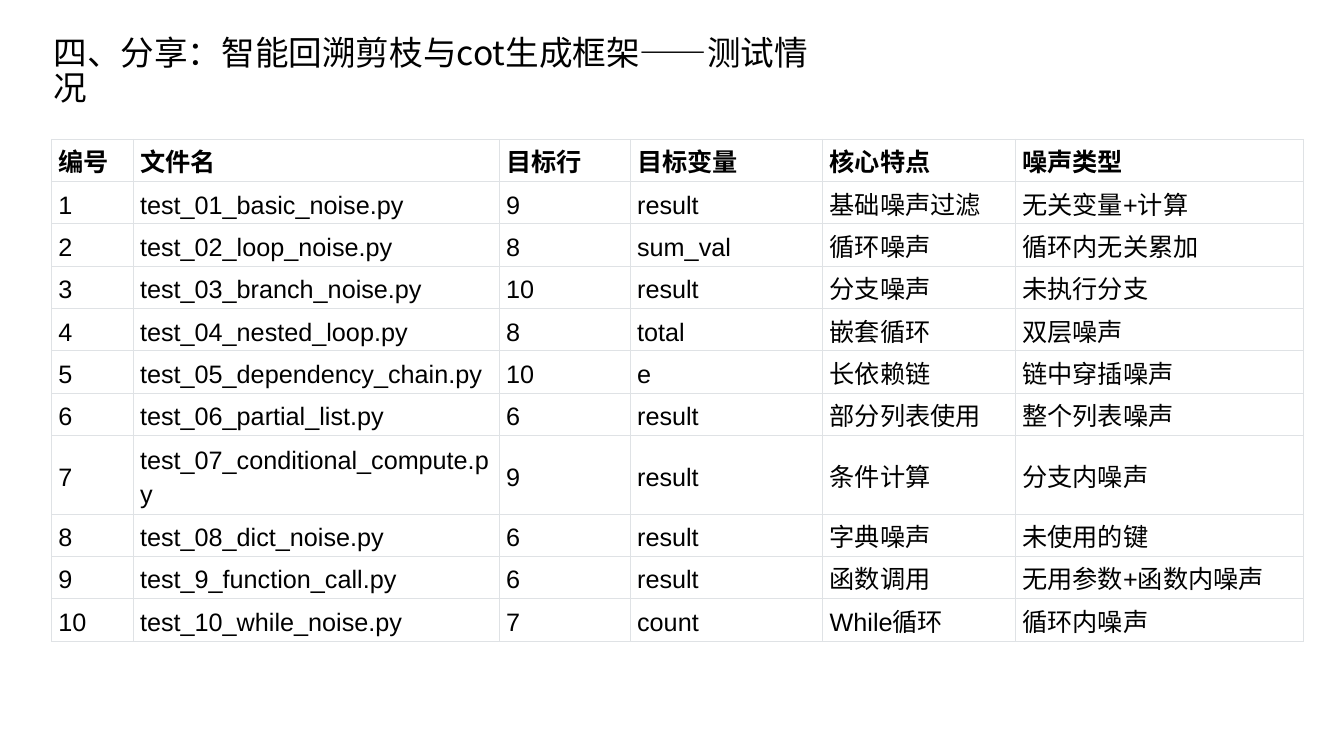
from pptx import Presentation
from pptx.dml.color import RGBColor
from pptx.enum.text import MSO_ANCHOR, MSO_AUTO_SIZE, PP_ALIGN
from pptx.oxml import parse_xml
from pptx.oxml.ns import nsdecls
from pptx.util import Inches, Pt

COLORS = {"text": "000000", "border": "DFE2E5"}


def set_text(tf, text, font, size, spacing, bold=False):
    tf.text = text
    p = tf.paragraphs[0]
    p.alignment = PP_ALIGN.LEFT
    p.line_spacing = spacing
    r = p.runs[0]
    r.font.name, r.font.size, r.font.bold = font, Pt(size), bold
    r.font.color.rgb = RGBColor.from_string(COLORS["text"])
    # East Asian typeface
    r.font._element.append(parse_xml(f'<a:ea {nsdecls("a")} typeface="{font}"/>'))


def add_borders(cell):
    tc_pr = cell._tc.get_or_add_tcPr()
    for i, side in enumerate(("lnL", "lnR", "lnT", "lnB")):
        tc_pr.insert(i, parse_xml(
            f'<a:{side} {nsdecls("a")} w="{Pt(0.4)}"><a:solidFill>'
            f'<a:srgbClr val="{COLORS["border"]}"/></a:solidFill></a:{side}>'))


prs = Presentation()
prs.slide_width, prs.slide_height = Inches(13.33), Inches(7.5)
s = prs.slides.add_slide(prs.slide_layouts[5])

# Title
title = s.shapes.title
title.left, title.top = Inches(0.43), Inches(0.33)
title.width, title.height = Inches(7.98), Inches(0.5)
tf = title.text_frame
tf.word_wrap = True
tf.auto_size = MSO_AUTO_SIZE.NONE
tf.vertical_anchor = MSO_ANCHOR.TOP
set_text(tf, "四、分享：智能回溯剪枝与cot生成框架——测试情况",
         "Noto Sans CJK SC", 24, 0.85)

# Test cases
rows = [
    ("编号", "文件名", "目标行", "目标变量", "核心特点", "噪声类型"),
    ("1", "test_01_basic_noise.py", "9", "result", "基础噪声过滤", "无关变量+计算"),
    ("2", "test_02_loop_noise.py", "8", "sum_val", "循环噪声", "循环内无关累加"),
    ("3", "test_03_branch_noise.py", "10", "result", "分支噪声", "未执行分支"),
    ("4", "test_04_nested_loop.py", "8", "total", "嵌套循环", "双层噪声"),
    ("5", "test_05_dependency_chain.py", "10", "e", "长依赖链", "链中穿插噪声"),
    ("6", "test_06_partial_list.py", "6", "result", "部分列表使用", "整个列表噪声"),
    ("7", "test_07_conditional_compute.py", "9", "result", "条件计算", "分支内噪声"),
    ("8", "test_08_dict_noise.py", "6", "result", "字典噪声", "未使用的键"),
    ("9", "test_9_function_call.py", "6", "result", "函数调用", "无用参数+函数内噪声"),
    ("10", "test_10_while_noise.py", "7", "count", "While循环", "循环内噪声"),
]
col_widths = [0.81, 3.63, 1.3, 1.91, 1.91, 2.86]
table = s.shapes.add_table(len(rows), len(col_widths), Inches(0.51), Inches(1.38),
                           Inches(12.42), Inches(5.02)).table
table.first_row = table.horz_banding = False
for column, width in zip(table.columns, col_widths):
    column.width = Inches(width)

for i, row in enumerate(rows):
    # The long file name in row 7 takes two lines
    table.rows[i].height = Inches(0.78 if i == 7 else 0.42)
    for j, text in enumerate(row):
        cell = table.cell(i, j)
        cell.margin_left = cell.margin_right = Inches(0.07)
        cell.margin_top = cell.margin_bottom = Inches(0.03)
        cell.vertical_anchor = MSO_ANCHOR.MIDDLE
        cell.fill.background()
        add_borders(cell)
        set_text(cell.text_frame, text, "Arial", 18, 1.2, bold=i == 0)

prs.save("out.pptx")
